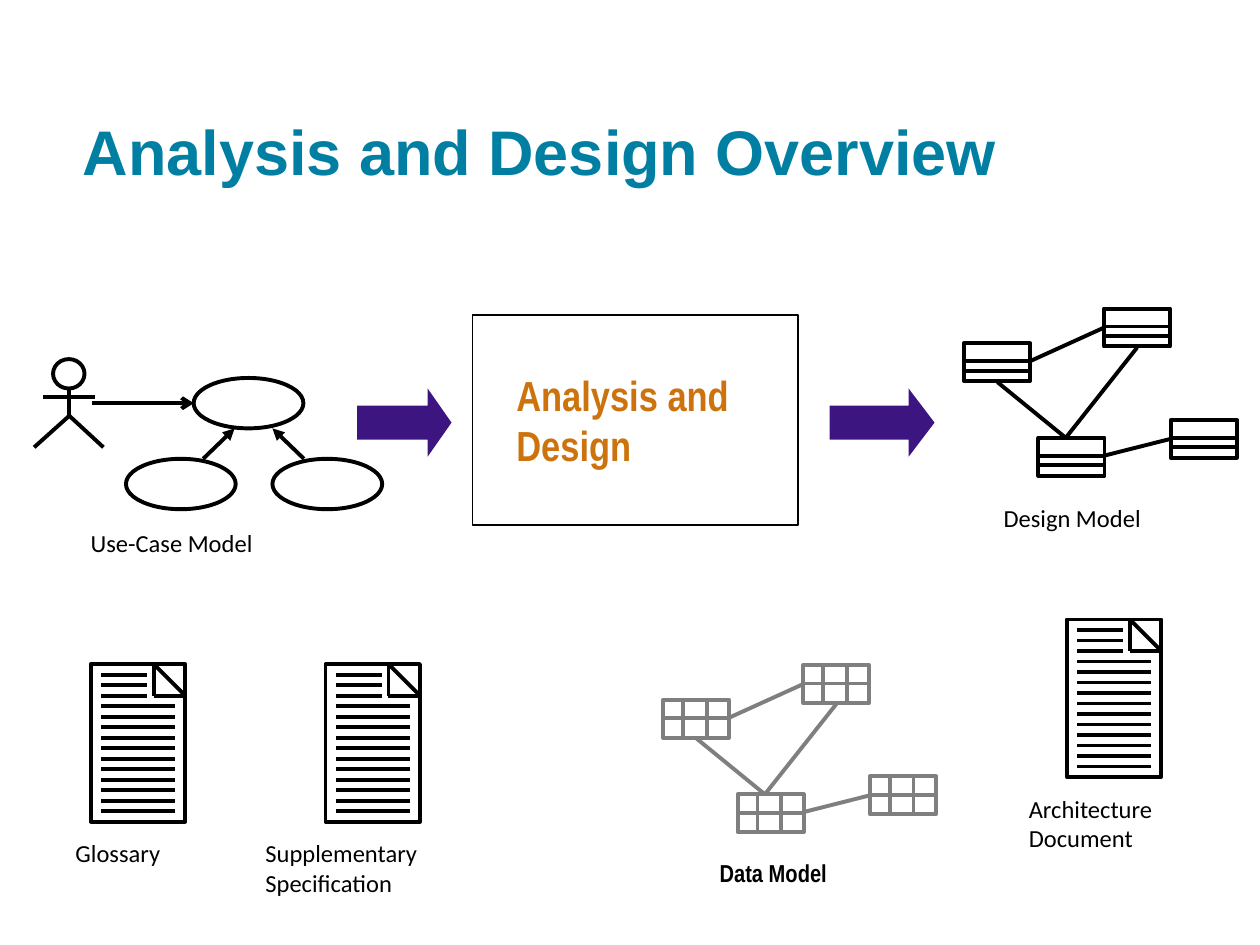
from lxml.etree import SubElement
from pptx import Presentation
from pptx.dml.color import RGBColor as Rgb
from pptx.enum.shapes import MSO_CONNECTOR as Conn, MSO_SHAPE as Shape
from pptx.enum.text import MSO_ANCHOR as Anchor
from pptx.oxml.ns import qn
from pptx.util import Inches, Pt

BLACK = Rgb(0x00, 0x00, 0x00)
GREY = Rgb(0x7F, 0x7F, 0x7F)
TEAL = Rgb(0x00, 0x7F, 0xA3)
ORANGE = Rgb(0xCC, 0x73, 0x0D)
PURPLE = Rgb(0x3C, 0x15, 0x81)

COLS, ROWS = 120, 90  # grid of the slide, twelve cells to the inch
NODE_W, NODE_H = 6.3, 3.6
NODES = [(0, 3.3), (13.35, 0), (7.1, 12.3), (19.7, 10.6)]
LINKS = [
    ((9.7, 12.3), (3.2, 7)),
    ((6.3, 5), (13.35, 1.8)),
    ((13.35, 14), (19.7, 12.4)),
    ((9.7, 12.3), (16.5, 3.7)),
]


def cell(n):
    return Inches(n / 12)


class Pen:
    """Draws in a group, in grid cells from the group's corner."""

    def __init__(self, slide, x, y, color=BLACK):
        self.kit = slide.shapes.add_group_shape().shapes
        self.x, self.y, self.color = x, y, color

    def spot(self, x, y):
        return cell(self.x + x), cell(self.y + y)

    def ink(self, shape, width=2.25):
        shape.shadow.inherit = False
        shape.fill.background()
        shape.line.color.rgb = self.color
        shape.line.width = Pt(width)

    def form(self, kind, x, y, w, h, width=2.25):
        shape = self.kit.add_shape(kind, *self.spot(x, y), cell(w), cell(h))
        self.ink(shape, width)

    def line(self, start, end, tip=None):
        link = self.kit.add_connector(
            Conn.STRAIGHT, *self.spot(*start), *self.spot(*end))
        link.line.color.rgb = self.color
        link.line.width = Pt(2.25)
        if tip:
            SubElement(link.line._get_or_add_ln(), qn("a:tailEnd"), type=tip)
        SubElement(link._element.spPr, qn("a:effectLst"))

    def bend(self, first, *rest):
        path = self.kit.build_freeform(*self.spot(*first))
        path.add_line_segments([self.spot(*p) for p in rest], close=False)
        self.ink(path.convert_to_shape())

    def text(self, words, x, y, w, h, **style):
        write(self.kit, words, (self.x + x, self.y + y, w, h), **style)


def write(kit, words, box, size=14, font="Calibri", color=BLACK, bold=False):
    frame = kit.add_textbox(*map(cell, box)).text_frame
    frame.word_wrap = True
    frame.text = words
    for par in frame.paragraphs:
        for run in par.runs:
            run.font.size = Pt(size)
            run.font.name = font
            run.font.bold = bold
            run.font.color.rgb = color
    return frame


def add_title(slide, words, box):
    frame = write(slide.shapes, words, box, 36, "Arial", TEAL, True)
    frame.vertical_anchor = Anchor.BOTTOM
    frame.margin_top = frame.margin_bottom = Inches(0.1)


def add_page(slide, x, y, words, shift, wide, tall):
    """A ruled sheet with a folded corner, and its label below."""
    pen = Pen(slide, x, y)
    pen.form(Shape.RECTANGLE, 0, 0, 9, 15)
    fold = [(6, 0), (9, 3), (6, 3)]
    for start, end in zip(fold, fold[1:] + fold[:1]):
        pen.line(start, end)
    for row in range(1, 15):
        pen.line((1, row), (5.4 if row <= 3 else 8, row))
    pen.text(words, shift, 16, wide, tall)


def add_model(slide, x, y, color, rows, cols, words, label, **style):
    """Four linked boxes, ruled at the given rows and columns."""
    pen = Pen(slide, x, y, color)
    for start, end in LINKS:
        pen.line(start, end)
    for left, top in NODES:
        pen.form(Shape.RECTANGLE, left, top, NODE_W, NODE_H)
        for row in rows:
            pen.line((left, top + row), (left + NODE_W, top + row))
        for col in cols:
            pen.line((left + col, top), (left + col, top + NODE_H))
    pen.text(words, *label, **style)


def add_cases(slide, x, y):
    """An actor and three use cases."""
    pen = Pen(slide, x, y)
    pen.form(Shape.OVAL, 1.8, 0, 3, 2.8)
    pen.line((3.35, 2.9), (3.35, 5.4))
    pen.line((0.85, 3.6), (5.75, 3.6))
    pen.bend((0, 8.4), (3.35, 5.4), (6.6, 8.4))
    for left, top in [(15.2, 1.8), (8.75, 9.5), (22.7, 9.5)]:
        pen.form(Shape.OVAL, left, top, 10.45, 4.8)
    pen.line((5.5, 4.2), (15.2, 4.2), "arrow")
    pen.line((16.1, 9.5), (19.1, 6.6), "triangle")
    pen.line((25.7, 9.5), (22.7, 6.6), "triangle")
    pen.text("Use-Case Model", 4.2, 15.5, 24, 4.8)


def add_core(slide, x, y):
    pen = Pen(slide, x, y)
    pen.form(Shape.RECTANGLE, 0, 0, 31, 20, 1)
    pen.text("Analysis and Design", 3, 4.6, 25, 10.9,
             size=24, font="Arial Narrow", color=ORANGE, bold=True)


def add_arrow(slide, x, y, w, h, head):
    arrow = slide.shapes.add_shape(Shape.RIGHT_ARROW, *map(cell, (x, y, w, h)))
    arrow.adjustments[1] = head
    arrow.shadow.inherit = False
    arrow.fill.solid()
    arrow.fill.fore_color.rgb = PURPLE
    arrow.line.fill.background()


def main():
    deck = Presentation()
    deck.slide_width, deck.slide_height = cell(COLS), cell(ROWS)
    slide = deck.slides.add_slide(deck.slide_layouts[6])
    add_page(slide, 31, 63.25, "Supplementary\nSpecification", -6.9, 22.8, 8.5)
    add_cases(slide, 3.25, 34.2)
    add_model(slide, 91.8, 29.4, BLACK, [1.7, 2.6], [],
              "Design Model", (2.6, 17.9, 20.9, 4.8))
    add_model(slide, 63.15, 63.35, GREY, [1.75], [1.9, 4.15],
              "Data Model", (4.2, 17.8, 15.7, 4.8),
              font="Arial Narrow", bold=True)
    add_page(slide, 101.6, 59, "Architecture\nDocument", -4.8, 18.6, 8.5)
    add_core(slide, 45, 30)
    add_arrow(slide, 34, 37, 9, 6.5, 0.35)
    add_arrow(slide, 79, 37, 10, 6.5, 0.38)
    add_title(slide, "Analysis and Design Overview", (6.7, 9.7, 119.2, 9.4))
    add_page(slide, 8.65, 63.25, "Glossary", -2.65, 13.8, 4.8)
    deck.save("out.pptx")


if __name__ == "__main__":
    main()
